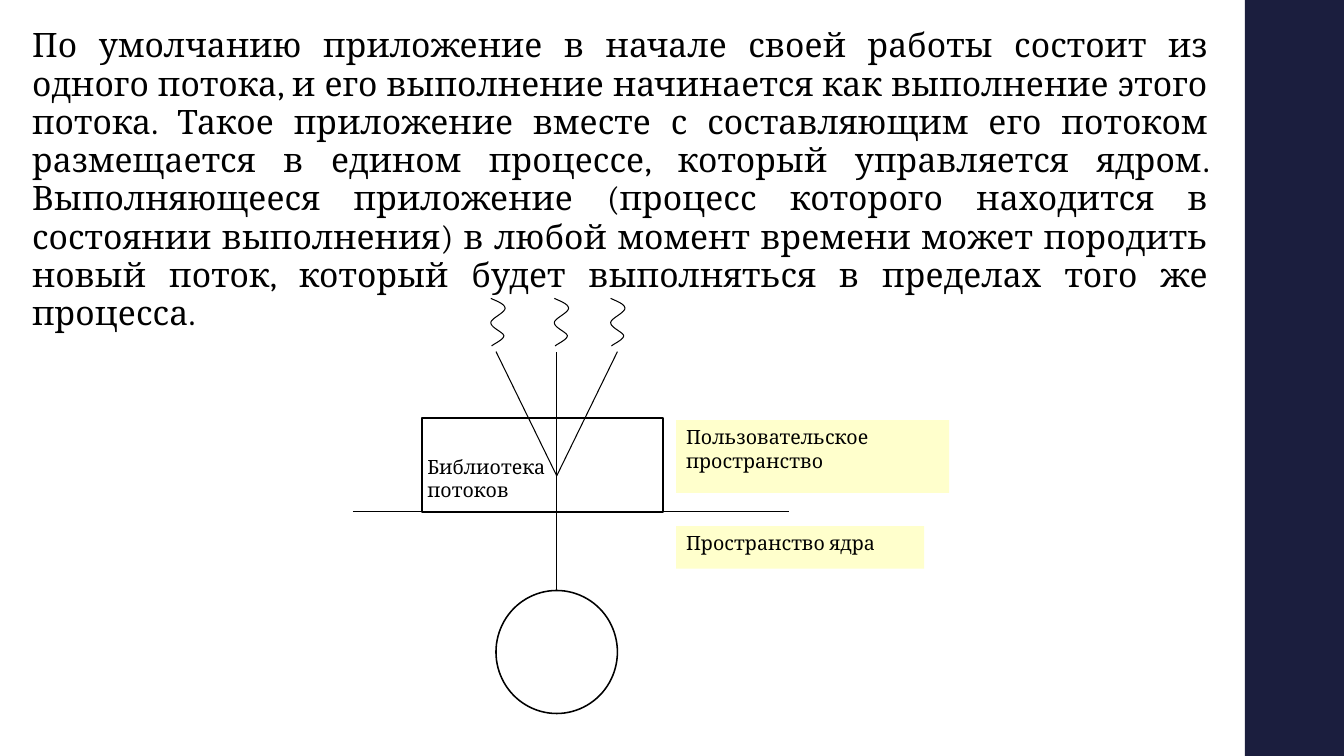
"""Builds a slide about application threads in user and kernel space."""
from lxml import etree
from pptx import Presentation
from pptx.dml.color import RGBColor
from pptx.enum.shapes import MSO_CONNECTOR, MSO_SHAPE
from pptx.enum.text import MSO_ANCHOR, PP_ALIGN
from pptx.oxml.ns import qn
from pptx.util import Cm, Pt

RECTANGLE, OVAL = MSO_SHAPE.RECTANGLE, MSO_SHAPE.OVAL
STRAIGHT = MSO_CONNECTOR.STRAIGHT
LEFT, JUSTIFY = PP_ALIGN.LEFT, PP_ALIGN.JUSTIFY
TOP = MSO_ANCHOR.TOP

FONT = "Cambria"
BLACK, WHITE, NAVY, YELLOW = "000000", "FFFFFF", "1B1E3E", "FFFFCC"

SLIDE_SIZE = (33.87, 19.05)
SIDEBAR_BOX = (31.37, 0, 2.54, 19.05)
BODY_BOX = (0.56, 0.56, 30.15, 8.03)
BODY = (
    "По умолчанию приложение в начале своей работы состоит из одного потока, "
    "и его выполнение начинается как выполнение этого потока. Такое приложение "
    "вместе с составляющим его потоком размещается в едином процессе, который "
    "управляется ядром. Выполняющееся приложение (процесс которого находится в "
    "состоянии выполнения) в любой момент времени может породить новый поток, "
    "который будет выполняться в пределах того же процесса."
)
LIBRARY_BOX = (10.64, 10.54, 6.07, 2.36)
PROCESS_BOX = (12.5, 14.88, 3.06, 3.1)
SPACES = [
    ("Пространство ядра", (17.04, 13.26, 6.25, 1.07), False),
    ("Пользовательское пространство", (17.04, 10.59, 6.88, 1.83), True),
]
LIBRARY_LABEL = ("Библиотека потоков", (10.52, 11.33, 3.53, 1.45))

JUNCTION_Y, THREAD_TOP, THREAD_SPREAD = 11.99, 8.86, 1.53
BORDER_LEFT, BORDER_RIGHT = 8.89, 19.89
WAVE_LEFTS, WAVE_TOP = (12.37, 13.97, 15.39), 7.52
WAVE_CURVES = [
    ((0, 0), (0.18, 0.08), (0.36, 0.15), (0.36, 0.25)),
    ((0.36, 0.25), (0.36, 0.36), (0, 0.51), (0, 0.61)),
    ((0, 0.61), (0, 0.74), (0.3, 0.84), (0.33, 0.94)),
    ((0.33, 0.94), (0.33, 1.04), (0.08, 1.14), (0.02, 1.2)),
]
CURVE_STEPS = 10


def color(hex_code):
    return RGBColor.from_string(hex_code)


def add_box(slide, preset, box, fill, line_width=None):
    shape = slide.shapes.add_shape(preset, *map(Cm, box))
    shape.shadow.inherit = False
    shape.fill.solid()
    shape.fill.fore_color.rgb = color(fill)
    if line_width:
        shape.line.color.rgb = color(BLACK)
        shape.line.width = Pt(line_width)
    else:
        shape.line.fill.background()
    return shape


def write(shape, text, size=14, align=LEFT, spacing=None, tracking=None, wrap=True):
    frame = shape.text_frame
    frame.word_wrap = wrap
    frame.vertical_anchor = TOP
    paragraph = frame.paragraphs[0]
    paragraph.alignment = align
    if spacing:
        paragraph.line_spacing = spacing
    run = paragraph.add_run()
    run.text = text
    run.font.name = FONT
    run.font.size = Pt(size)
    run.font.color.rgb = color(BLACK)
    if tracking:
        run.font._element.set("spc", str(round(tracking * 100)))


def add_line(slide, start, end):
    line = slide.shapes.add_connector(STRAIGHT, *map(Cm, start + end))
    line.line.color.rgb = color(BLACK)
    line.line.width = Pt(0.75)
    etree.SubElement(line._element.spPr, qn("a:effectLst"))
    return line


def curve_point(curve, t):
    weights = ((1 - t) ** 3, 3 * t * (1 - t) ** 2, 3 * t * t * (1 - t), t ** 3)
    return tuple(sum(w * p[axis] for w, p in zip(weights, curve)) for axis in (0, 1))


def add_wave(slide, left, top):
    points = [
        (Cm(left + x), Cm(top + y))
        for curve in WAVE_CURVES
        for x, y in (curve_point(curve, i / CURVE_STEPS) for i in range(1, CURVE_STEPS + 1))
    ]
    builder = slide.shapes.build_freeform(Cm(left), Cm(top))
    builder.add_line_segments(points, close=False)
    wave = builder.convert_to_shape()
    wave.shadow.inherit = False
    wave.fill.background()
    wave.line.color.rgb = color(BLACK)
    wave.line.width = Pt(0.75)


def main():
    deck = Presentation()
    deck.slide_width, deck.slide_height = map(Cm, SLIDE_SIZE)
    slide = deck.slides.add_slide(deck.slide_layouts[6])

    add_box(slide, RECTANGLE, SIDEBAR_BOX, NAVY)
    body = slide.shapes.add_textbox(*map(Cm, BODY_BOX))
    write(body, BODY, size=24, align=JUSTIFY, spacing=0.95, tracking=0.1)

    add_box(slide, RECTANGLE, LIBRARY_BOX, WHITE, 1.1)
    process = add_box(slide, OVAL, PROCESS_BOX, WHITE, 1.1)

    center = PROCESS_BOX[0] + PROCESS_BOX[2] / 2
    junction = (center, JUNCTION_Y)
    trunk = add_line(slide, junction, (center, PROCESS_BOX[1]))
    trunk.end_connect(process, 0)
    for side in (-1, 0, 1):
        add_line(slide, junction, (center + side * THREAD_SPREAD, THREAD_TOP))
    border_y = LIBRARY_BOX[1] + LIBRARY_BOX[3]
    add_line(slide, (BORDER_LEFT, border_y), (BORDER_RIGHT, border_y))
    for left in WAVE_LEFTS:
        add_wave(slide, left, WAVE_TOP)

    for text, box, wrap in SPACES:
        write(add_box(slide, RECTANGLE, box, YELLOW), text, wrap=wrap)
    text, box = LIBRARY_LABEL
    write(slide.shapes.add_textbox(*map(Cm, box)), text)

    deck.save("out.pptx")


if __name__ == "__main__":
    main()
